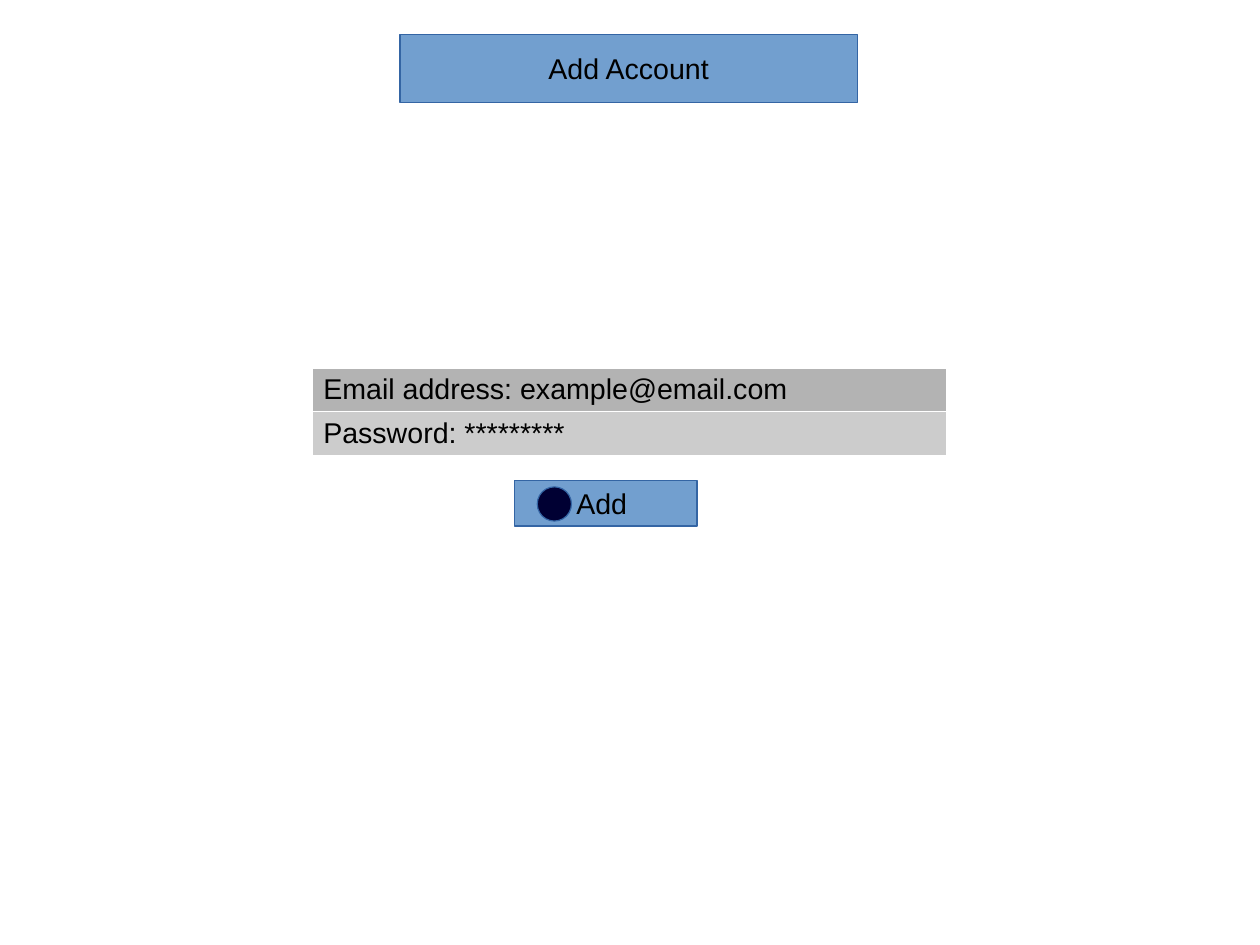
from lxml.etree import SubElement
from pptx import Presentation
from pptx.dml.color import RGBColor
from pptx.enum.shapes import MSO_SHAPE
from pptx.enum.text import MSO_ANCHOR, PP_ALIGN
from pptx.oxml.ns import qn
from pptx.util import Cm, Pt

# Content: text and left, top, width, height in cm
BUTTONS = [
    ("Add Account", (8.89, 0.76, 10.16, 1.52)),
    ("Add ", (11.43, 10.67, 4.06, 1.02)),
]
FIELDS = [
    ("Email address: example@email.com", "email"),
    ("Password: *********", "password"),
]
FORM_LEFT, FORM_TOP, FORM_WIDTH, ROW_HEIGHT = 6.93, 8.18, 14.1, 0.96
MARKER_BOX = (11.94, 10.82, 0.76, 0.76)
COLORS = {
    "button": "729FCF",
    "outline": "3465A4",
    "email": "B3B3B3",
    "password": "CCCCCC",
    "marker": "000033",
    "text": "000000",
    "border": "FFFFFF",
}


def color(name):
    return RGBColor.from_string(COLORS[name])


def write(frame, text):
    frame.text = text
    font = frame.paragraphs[0].runs[0].font
    font.name, font.size = "Arial", Pt(18)
    font.color.rgb = color("text")


def add_outlined(kind, box, fill):
    shape = slide.shapes.add_shape(kind, *map(Cm, box))
    shape.shadow.inherit = False
    shape.fill.solid()
    shape.fill.fore_color.rgb = color(fill)
    shape.line.color.rgb = color("outline")
    shape.line.width = Pt(0)
    return shape


def add_borders(cell):
    properties = cell._tc.get_or_add_tcPr()
    for side in ("L", "R", "T", "B"):
        line = SubElement(properties, qn(f"a:ln{side}"), w=str(Pt(0.06)))
        solid = SubElement(line, qn("a:solidFill"))
        SubElement(solid, qn("a:srgbClr"), val=COLORS["border"])


prs = Presentation()
prs.slide_width, prs.slide_height = Cm(28), Cm(21)
slide = prs.slides.add_slide(prs.slide_layouts[6])

# Login fields
form = slide.shapes.add_table(
    len(FIELDS), 1, Cm(FORM_LEFT), Cm(FORM_TOP),
    Cm(FORM_WIDTH), Cm(ROW_HEIGHT * len(FIELDS))).table
for row, (text, fill) in enumerate(FIELDS):
    field = form.cell(row, 0)
    write(field.text_frame, text)
    add_borders(field)
    field.fill.solid()
    field.fill.fore_color.rgb = color(fill)

# Title bar and add button
for text, box in BUTTONS:
    frame = add_outlined(MSO_SHAPE.RECTANGLE, box, "button").text_frame
    write(frame, text)
    frame.word_wrap = False
    frame.vertical_anchor = MSO_ANCHOR.MIDDLE
    frame.paragraphs[0].alignment = PP_ALIGN.CENTER

# Round marker on the add button
add_outlined(MSO_SHAPE.OVAL, MARKER_BOX, "marker")

prs.save("out.pptx")
